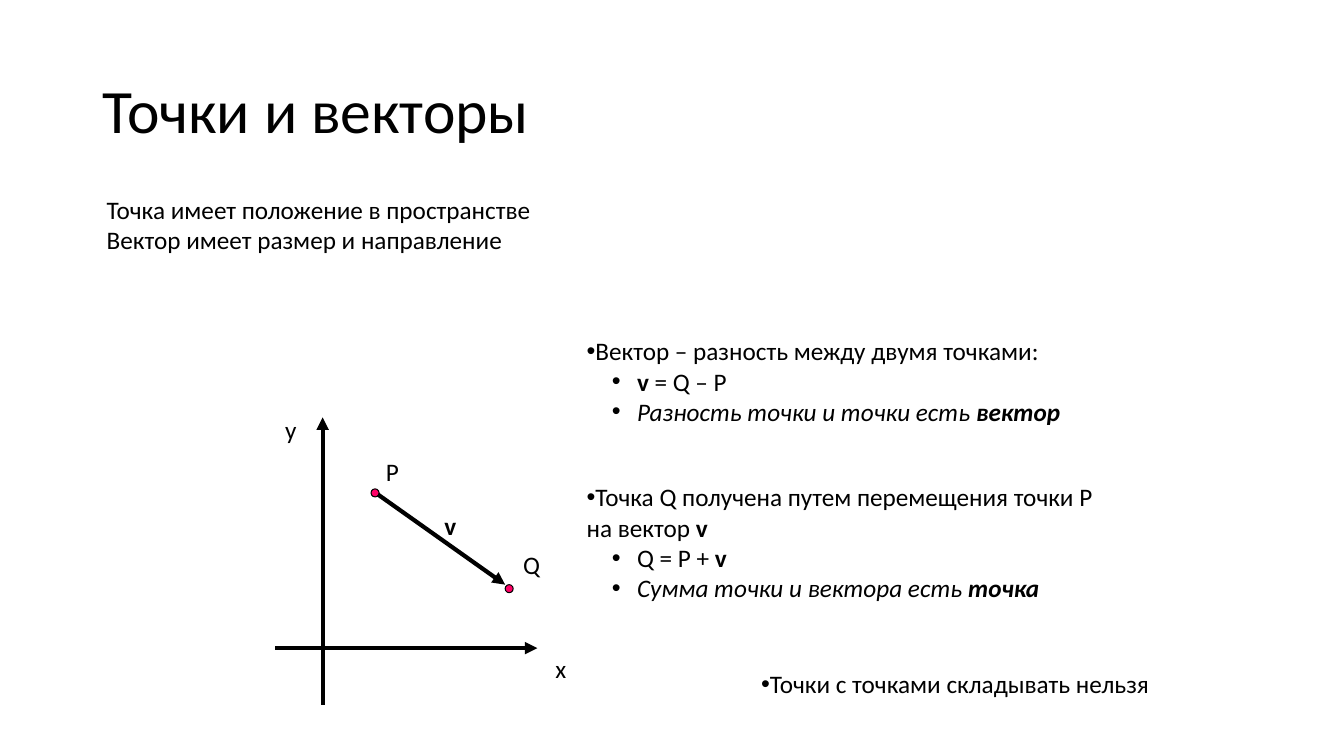
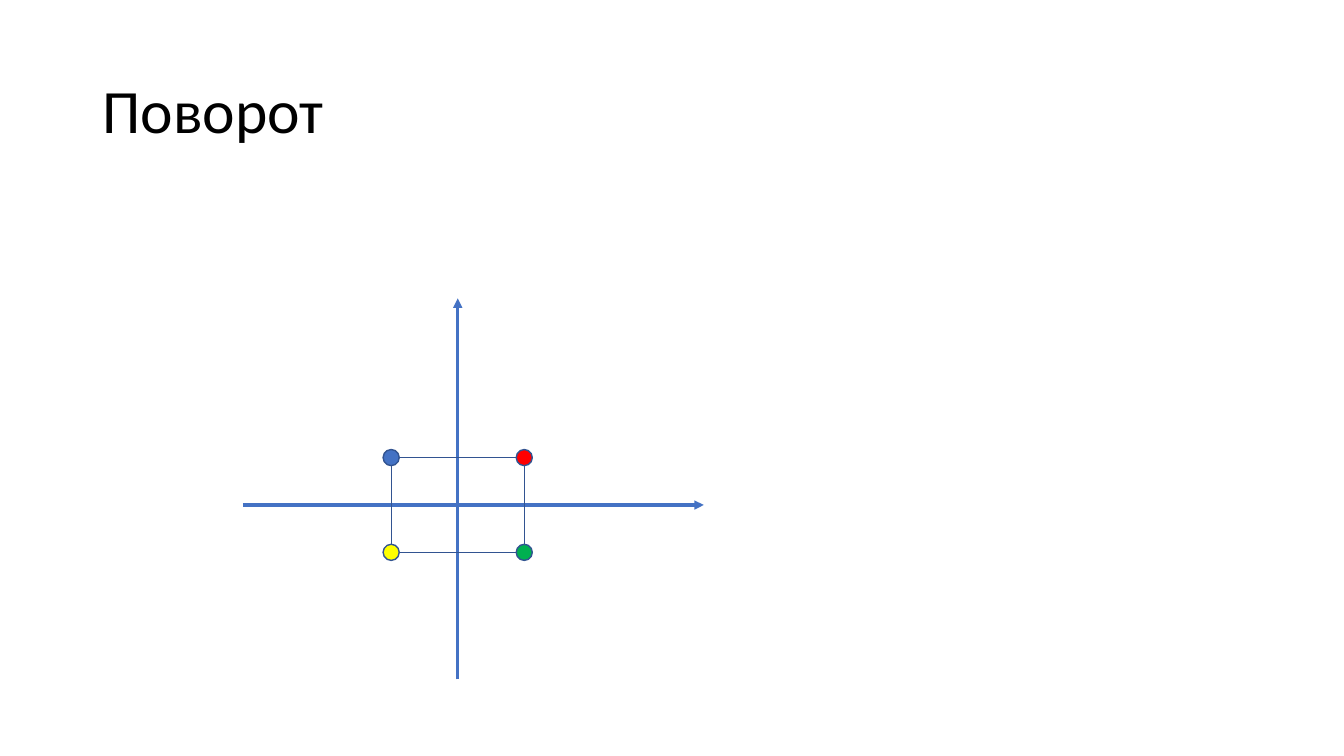
from lxml import etree
from pptx import Presentation
from pptx.dml.color import RGBColor
from pptx.enum.shapes import MSO_CONNECTOR, MSO_SHAPE
from pptx.enum.text import MSO_ANCHOR
from pptx.oxml.ns import qn
from pptx.util import Inches, Pt

FONT = "Calibri"
BLACK = "000000"
PINK = "FF0066"
BLUE = "4472C4"
DARK_BLUE = "325491"
TITLE_BOX = (0.92, 0.4, 11.5, 1.45)
SUB_MARGIN, SUB_HANGING = 0.5, 0.25


def color(value):
    return RGBColor.from_string(value)


# Text: a paragraph is (level, [(text, style), ...]); style holds "b" and/or "i",
# level None is plain, 0 a bullet and 1 an indented bullet
def add_bullet(para, level):
    properties = para._p.get_or_add_pPr()
    if level:
        para.level = level
        properties.set("marL", str(Inches(SUB_MARGIN)))
        properties.set("indent", str(-Inches(SUB_HANGING)))
    font = etree.SubElement(properties, qn("a:buFont"))
    font.set("typeface", "Arial")
    etree.SubElement(properties, qn("a:buChar")).set("char", "•")


def add_text(page, box, paragraphs, size=18, anchor=MSO_ANCHOR.TOP, spacing=None):
    frame = page.shapes.add_textbox(*map(Inches, box)).text_frame
    frame.word_wrap = True
    frame.vertical_anchor = anchor
    for index, (level, spans) in enumerate(paragraphs):
        para = frame.add_paragraph() if index else frame.paragraphs[0]
        if spacing:
            para.line_spacing = spacing
        if level is not None:
            add_bullet(para, level)
        for text, style in spans:
            span = para.add_run()
            span.text = text
            span.font.name = FONT
            span.font.size = Pt(size)
            span.font.color.rgb = color(BLACK)
            span.font.bold = "b" in style
            span.font.italic = "i" in style


def add_page(deck, title):
    page = deck.slides.add_slide(deck.slide_layouts[6])
    add_text(page, TITLE_BOX, [(None, [(title, "")])], 44, MSO_ANCHOR.MIDDLE, 0.9)
    return page


# Drawing parts
def add_arrow(page, start, end, line_color, width):
    arrow = page.shapes.add_connector(MSO_CONNECTOR.STRAIGHT, *map(Inches, (*start, *end)))
    arrow.line.color.rgb = color(line_color)
    arrow.line.width = Pt(width)
    etree.SubElement(arrow.line._get_or_add_ln(), qn("a:tailEnd")).set("type", "triangle")
    etree.SubElement(arrow._element.spPr, qn("a:effectLst"))


def add_axes(page, box, origin, line_color, width):
    left, top, across, down = box
    x, y = origin
    add_arrow(page, (x, top + down), (x, top), line_color, width)
    add_arrow(page, (left, y), (left + across, y), line_color, width)


def add_figure(shapes, kind, box, fill, line_color, width):
    figure = shapes.add_shape(kind, *map(Inches, box))
    figure.shadow.inherit = False
    if fill:
        figure.fill.solid()
        figure.fill.fore_color.rgb = color(fill)
    else:
        figure.fill.background()
    figure.line.color.rgb = color(line_color)
    figure.line.width = Pt(width)


def add_dot(shapes, center, size, fill, line_color, width):
    box = (center[0] - size / 2, center[1] - size / 2, size, size)
    add_figure(shapes, MSO_SHAPE.OVAL, box, fill, line_color, width)


# Coordinate plane with points P and Q and the vector between them
def vector_diagram(page, box):
    left, top, _, down = box
    point_p = (left + 0.99, top + 0.75)
    point_q = (left + 2.32, top + 1.7)
    add_axes(page, box, (left + 0.47, top + down - 0.56), BLACK, 3)
    add_arrow(page, (point_p[0] + 0.02, point_p[1] + 0.01),
              (point_q[0] - 0.04, point_q[1] - 0.04), BLACK, 3)
    for point in (point_p, point_q):
        add_dot(page.shapes, point, 0.08, PINK, BLACK, 0.75)
    labels = [("P", 1, 0.34, ""), ("Q", 2.36, 1.26, ""), ("v", 1.58, 0.87, "b"),
              ("x", 2.68, 2.29, ""), ("y", 0, -0.08, "")]
    for text, x, y, style in labels:
        add_text(page, (left + x, top + y, 0.38, 0.4), [(None, [(text, style)])])


# Rectangle around the origin with a coloured dot on each corner
def rotation_diagram(page, box):
    left, top, _, _ = box
    center = (left + 2.13, top + 2.05)
    width, height = 1.32, 0.94
    add_axes(page, box, center, BLUE, 2.25)
    group = page.shapes.add_group_shape()
    x, y = center[0] - width / 2, center[1] - height / 2
    add_figure(group.shapes, MSO_SHAPE.RECTANGLE, (x, y, width, height), None, DARK_BLUE, 1)
    for index, fill in enumerate((BLUE, "FF0000", "FFFF00", "00B050")):
        row, column = divmod(index, 2)
        corner = (x + column * width, y + row * height)
        add_dot(group.shapes, corner, 0.16, fill, DARK_BLUE, 1)


def points_page(deck):
    page = add_page(deck, "Точки и векторы")
    vector_diagram(page, (2.73, 4.14, 2.6, 2.85))
    add_text(page, (5.72, 3.28, 5.16, 1.01), [
        (0, [("Вектор – разность между двумя точками:", "")]),
        (1, [("v", "b"), (" = Q – P", "")]),
        (1, [("Разность точки и точки есть ", "i"), ("вектор", "bi")]),
    ])
    add_text(page, (5.72, 4.73, 5.36, 1.3), [
        (0, [("Точка Q получена путем перемещения точки P на вектор ", ""), ("v", "b")]),
        (1, [("Q = P + ", ""), ("v", "b")]),
        (1, [("Сумма точки и вектора есть ", "i"), ("точка", "bi")]),
    ])
    add_text(page, (0.96, 1.88, 4.88, 0.7), [
        (None, [("Точка имеет положение в пространстве", "")]),
        (None, [("Вектор имеет размер и направление", "")]),
    ])
    add_text(page, (7.45, 6.58, 4.25, 0.4), [(0, [("Точки с точками складывать нельзя", "")])])


def rotation_page(deck):
    page = add_page(deck, "Поворот")
    rotation_diagram(page, (2.41, 2.96, 4.57, 3.78))


def main():
    deck = Presentation()
    deck.slide_width, deck.slide_height = Inches(13.33), Inches(7.5)
    points_page(deck)
    rotation_page(deck)
    deck.save("out.pptx")


if __name__ == "__main__":
    main()
